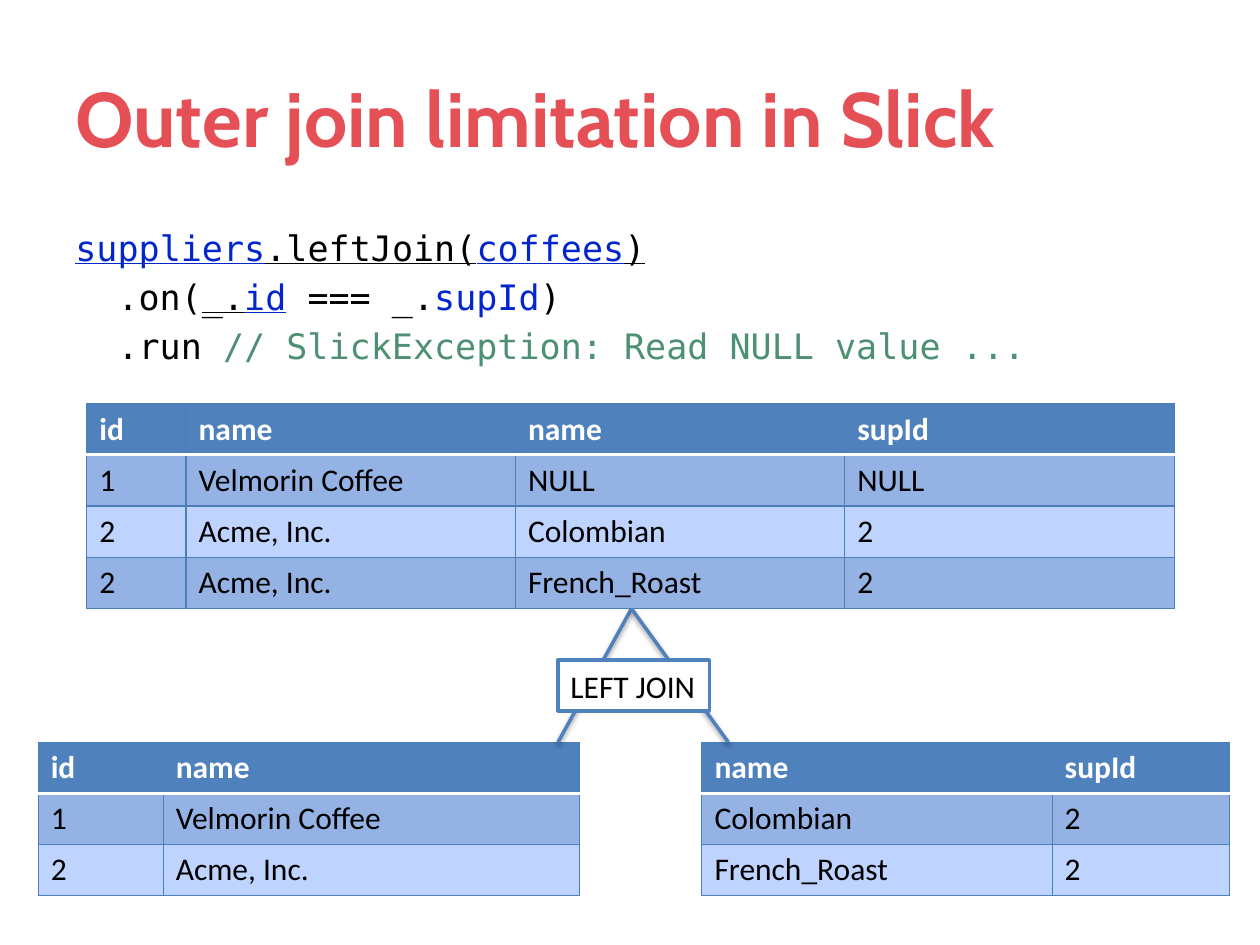
from lxml import etree
from pptx import Presentation
from pptx.dml.color import RGBColor
from pptx.enum.shapes import MSO_CONNECTOR, MSO_SHAPE
from pptx.enum.text import MSO_ANCHOR, PP_ALIGN
from pptx.oxml.ns import qn
from pptx.util import Cm, Pt

LINE = MSO_CONNECTOR.STRAIGHT
RECT = MSO_SHAPE.RECTANGLE
MIDDLE = MSO_ANCHOR.MIDDLE
LEFT = PP_ALIGN.LEFT

HUES = {
    "title": "E55057", "name": "0226CC", "note": "4D9072",
    "black": "000000", "white": "FFFFFF", "blue": "4F81BD",
    "edge": "4B7EBC", "band": "94B2E4", "pale": "BFD3FF",
}
CODE = [
    (0, [("suppliers", "name", True), (".leftJoin(", "black", True),
         ("coffees", "name", True), (")", "black", True)]),
    (0.85, [(".on(", "black", False), ("_.", "black", True),
            ("id", "name", True), (" === _.", "black", False),
            ("supId", "name", False), (")", "black", False)]),
    (0.85, [(".run ", "black", False),
            ("// SlickException: Read NULL value ...", "note", False)]),
]
LEFT_ROWS = [["id", "name"], ["1", "Velmorin Coffee"], ["2", "Acme, Inc."]]
RIGHT_ROWS = [["name", "supId"], ["Colombian", "2"], ["French_Roast", "2"]]
JOIN_ROWS = [
    ["id", "name", "name", "supId"],
    ["1", "Velmorin Coffee", "NULL", "NULL"],
    ["2", "Acme, Inc.", "Colombian", "2"],
    ["2", "Acme, Inc.", "French_Roast", "2"],
]
ROW = 1.03
BASE = 14.96
APEX = (12.73, 12.27)


def rgb(hue):
    return RGBColor.from_string(HUES[hue])


def style(run, size, face, hue, bold=False):
    font = run.font
    font.size, font.name, font.bold = Pt(size), face, bold
    font.color.rgb = rgb(hue)


def add_box(slide, x, y, wide, high):
    frame = slide.shapes.add_textbox(Cm(x), Cm(y), Cm(wide), Cm(high)).text_frame
    frame.word_wrap = True
    return frame


def add_title(slide, text):
    frame = add_box(slide, 1.27, 0.76, 22.86, 3.18)
    frame.vertical_anchor = MIDDLE
    frame.text = text
    style(frame.paragraphs[0].runs[0], 44, "Cabin", "title", True)


def add_code(slide, lines):
    frame = add_box(slide, 1.27, 4.45, 22.86, 3.6)
    for i, (indent, parts) in enumerate(lines):
        para = frame.add_paragraph() if i else frame.paragraphs[0]
        para.space_before = Pt(4 if i else 0)
        para._p.get_or_add_pPr().set("marL", str(Cm(indent)))
        for text, hue, under in parts:
            run = para.add_run()
            run.text = text
            style(run, 20, "DejaVu Sans Mono", hue)
            run.font.underline = under


def add_edge(cell, side, hue, width):
    line = etree.SubElement(cell._tc.get_or_add_tcPr(), qn("a:ln" + side), w=str(Pt(width)))
    fill = etree.SubElement(line, qn("a:solidFill"))
    etree.SubElement(fill, qn("a:srgbClr"), val=HUES[hue])


def fill_cell(cell, text, row):
    head = row == 0
    cell.text = text
    style(cell.text_frame.paragraphs[0].runs[0], 18, "Calibri",
          "white" if head else "black", head)
    for side in "LRTB":
        rule = (row, side) in ((0, "B"), (1, "T"))
        add_edge(cell, side, "white" if rule else "edge", 2 if rule else 0.75)
    cell.fill.solid()
    cell.fill.fore_color.rgb = rgb("blue" if head else "band" if row % 2 else "pale")


def add_grid(slide, x, y, cols, rows):
    table = slide.shapes.add_table(
        len(rows), len(cols), Cm(x), Cm(y), Cm(sum(cols)), Cm(ROW * len(rows))).table
    for col, wide in zip(table.columns, cols):
        col.width = Cm(wide)
    for r, row in enumerate(rows):
        table.rows[r].height = Cm(ROW)
        for c, text in enumerate(row):
            fill_cell(table.cell(r, c), text, r)


def add_link(slide, x):
    link = slide.shapes.add_connector(LINE, Cm(x), Cm(BASE), Cm(APEX[0]), Cm(APEX[1]))
    link.line.color.rgb = rgb("blue")
    link.line.width = Pt(2)
    effects = etree.SubElement(link._element.spPr, qn("a:effectLst"))
    shade = etree.SubElement(effects, qn("a:outerShdw"), blurRad=str(Pt(3.1)),
                             dist=str(Pt(1.6)), dir="5400000", rotWithShape="0")
    color = etree.SubElement(shade, qn("a:srgbClr"), val=HUES["black"])
    etree.SubElement(color, qn("a:alpha"), val="38000")


def add_label(slide, text):
    box = slide.shapes.add_shape(RECT, Cm(11.25), Cm(13.31), Cm(3.05), Cm(1.02))
    box.shadow.inherit = False
    box.fill.solid()
    box.fill.fore_color.rgb = rgb("white")
    box.line.color.rgb = rgb("blue")
    box.line.width = Pt(2)
    frame = box.text_frame
    frame.word_wrap = False
    frame.text = text
    frame.paragraphs[0].alignment = LEFT
    style(frame.paragraphs[0].runs[0], 18, "Calibri", "black")


def main():
    deck = Presentation()
    deck.slide_width, deck.slide_height = Cm(25.4), Cm(19.05)
    slide = deck.slides.add_slide(deck.slide_layouts[6])
    add_title(slide, "Outer join limitation in Slick")
    add_code(slide, CODE)
    add_grid(slide, 0.77, BASE, [2.52, 8.4], LEFT_ROWS)
    add_grid(slide, 14.15, BASE, [7.06, 3.58], RIGHT_ROWS)
    add_grid(slide, 1.75, 8.14, [2, 6.64, 6.64, 6.64], JOIN_ROWS)
    for x in (11.25, 14.68):
        add_link(slide, x)
    add_label(slide, "LEFT JOIN")
    deck.save("out.pptx")


main()
